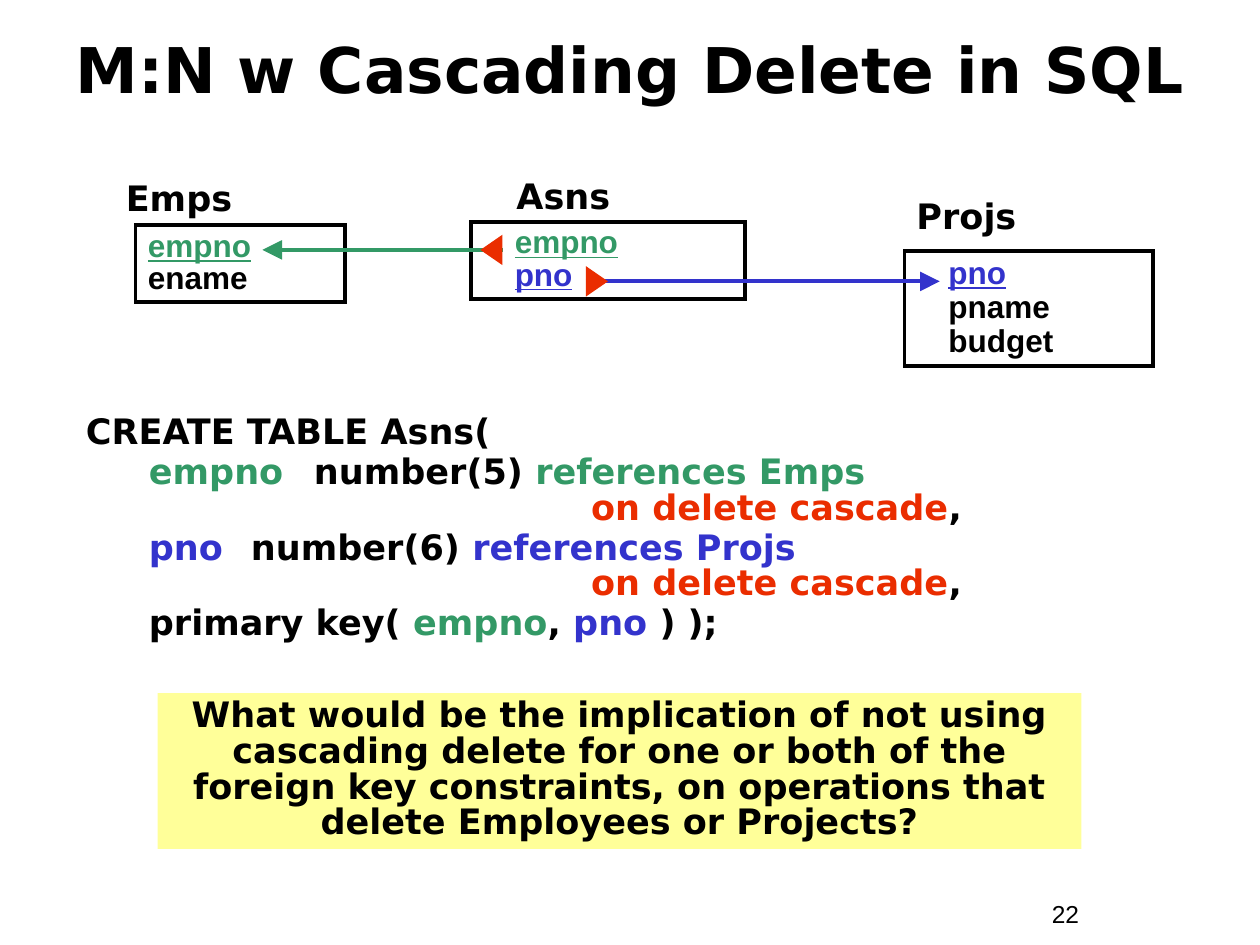
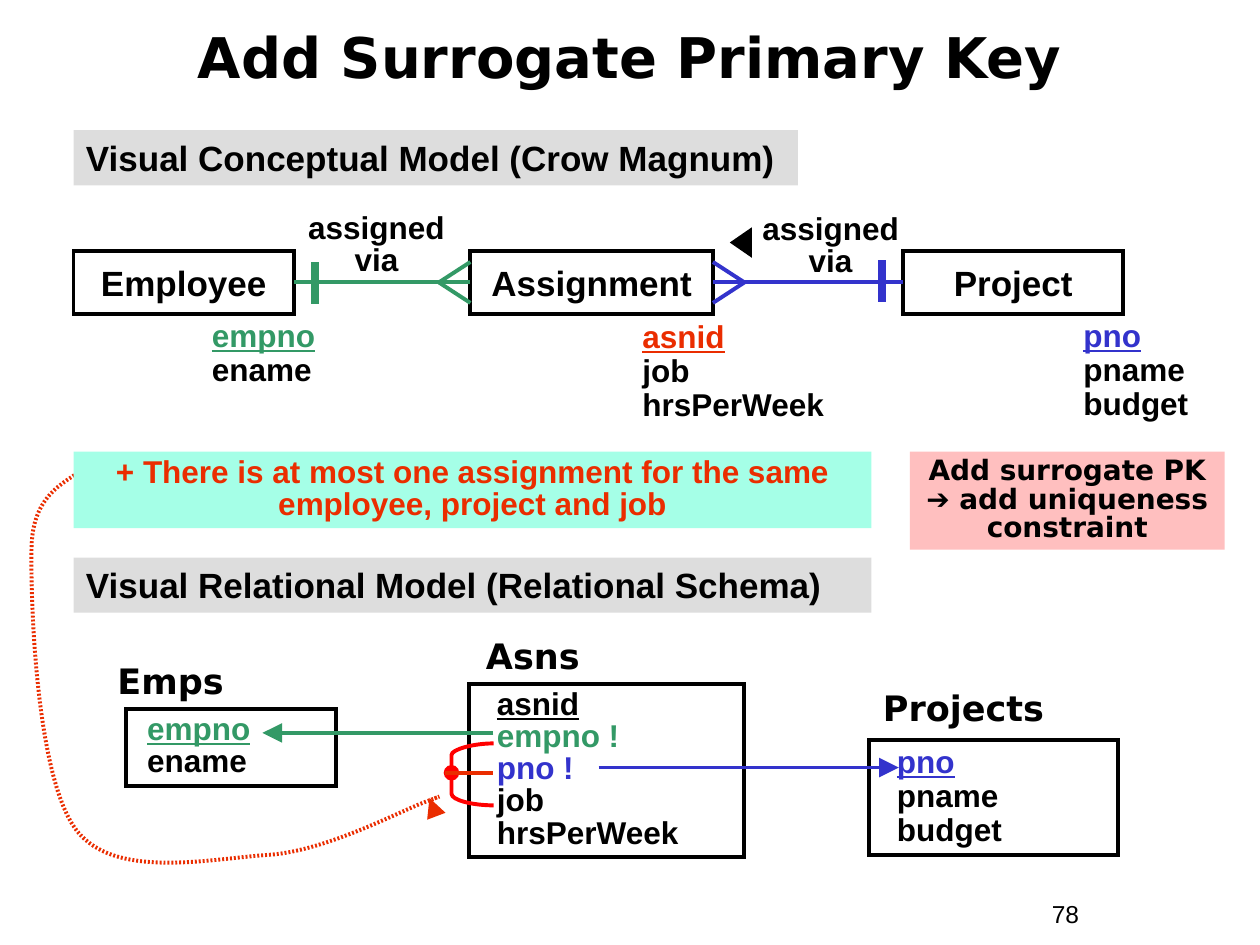
from lxml import etree
from pptx import Presentation
from pptx import util as u
from pptx.dml.color import RGBColor
from pptx.enum import shapes, text
from pptx.oxml.ns import qn

WIDE, HIGH = u.Inches(10), u.Inches(7.5)
CELL = WIDE // 120  # square grid of 120 columns and 90 rows
ARIAL, DEJAVU = "Arial", "DejaVu Sans"
BLACK, GREEN, BLUE, RED = "000000", "339966", "3333CC", "EA2D00"
SCARLET, GRAY, YELLOW, MINT, PINK = "FF0000", "DDDDDD", "FFFF99", "A5FFE7", "FFBFBF"
EMP = [("empno", GREEN), ("ename", BLACK)]
PROJ = [("pno", BLUE), ("pname", BLACK), ("budget", BLACK)]
RECT = shapes.MSO_SHAPE.RECTANGLE
LEFT, MID = text.PP_ALIGN.LEFT, text.PP_ALIGN.CENTER


def cells(*nums):
    return [int(n * CELL) for n in nums]


def rgb(hue):
    return RGBColor.from_string(hue)


def write(shape, paras, size, face=ARIAL, pace=1, align=LEFT, bold=True):
    """Fill a shape with paragraphs, each a list of (words, hue) runs."""
    frame = shape.text_frame
    frame.word_wrap = True
    frame.vertical_anchor = text.MSO_ANCHOR.TOP
    for i, runs in enumerate(paras):
        para = frame.add_paragraph() if i else frame.paragraphs[0]
        para.alignment, para.line_spacing = align, pace
        for words, hue in runs:
            run = para.add_run()
            run.text = words
            font = run.font
            font.name, font.size, font.bold = face, u.Pt(size), bold
            font.color.rgb = rgb(hue)
    return frame


def indent(para, left, first=0, tab=None):
    """Set the margin and first-line offset in inches, and one tab stop."""
    props = para._p.get_or_add_pPr()
    props.set("marL", str(u.Inches(left)))
    props.set("indent", str(u.Inches(first)))
    if tab:
        stops = etree.SubElement(props, qn("a:tabLst"))
        etree.SubElement(stops, qn("a:tab"), pos=str(u.Inches(tab)), algn="l")


def label(slide, at, words, size=20, face=DEJAVU, **style):
    box = slide.shapes.add_textbox(*cells(*at))
    return write(box, [[(words, BLACK)]], size, face, **style)


def block(slide, at, fill=None, edge=None, kind=RECT, turn=0):
    shape = slide.shapes.add_shape(kind, *cells(*at))
    shape.shadow.inherit = False
    shape.rotation = turn
    paint(shape, fill, edge)
    return shape


def paint(shape, fill, edge):
    if fill:
        shape.fill.solid()
        shape.fill.fore_color.rgb = rgb(fill)
    else:
        shape.fill.background()
    if edge:
        shape.line.color.rgb = rgb(edge)
        shape.line.width = u.Pt(2.25)
        etree.SubElement(shape.line._get_or_add_ln(), qn("a:miter"), lim="800000")
    else:
        shape.line.fill.background()


def panel(slide, at, fill, lines, size, hue=BLACK, **style):
    write(block(slide, at, fill), [[(line, hue)] for line in lines], size, **style)


def fields(slide, at, rows, pace=0.85, left=0, edge=BLACK, keys=1):
    """List the columns of a table, with its first keys underlined."""
    frame = write(block(slide, at, edge=edge), [[row] for row in rows], 18, pace=pace)
    for i, para in enumerate(frame.paragraphs):
        indent(para, left)
        para.runs[0].font.underline = i < keys


def entity(slide, at, name):
    box = block(slide, at, edge=BLACK)
    write(box, [[(name, BLACK)]], 20, align=MID)
    box.text_frame.vertical_anchor = text.MSO_ANCHOR.MIDDLE
    return box


def tip(line):
    etree.SubElement(line._get_or_add_ln(), qn("a:tailEnd"),
                     type="triangle", w="lg", len="lg")


def dot(line):
    """Give a line fine dots, half as long as it is wide."""
    dash = etree.Element(qn("a:custDash"))
    etree.SubElement(dash, qn("a:ds"), d="50000", sp="50000")
    line._get_or_add_ln().find(qn("a:solidFill")).addnext(dash)


def rule(slide, start, end, hue, wide=2.25, head=False):
    kind = shapes.MSO_CONNECTOR.STRAIGHT
    line = slide.shapes.add_connector(kind, *cells(*start, *end))
    line.line.color.rgb = rgb(hue)
    line.line.width = u.Pt(wide)
    if head:
        tip(line.line)
    etree.SubElement(line._element.spPr, qn("a:effectLst"))
    return line


def wedge(slide, x, y, hue, turn):
    """Draw a small triangle around a centre point."""
    kind = shapes.MSO_SHAPE.ISOSCELES_TRIANGLE
    block(slide, (x - 1.45, y - 1.05, 2.9, 2.1), hue, kind=kind, turn=turn)


def curve(slide, start, parts, hue):
    """Draw an open outline; a part is a cubic's three points or a line's one."""
    pen = slide.shapes.build_freeform(*cells(*start))
    pen.add_line_segments([cells(*spot) for part in parts for spot in part], close=False)
    shape = pen.convert_to_shape()
    steps = iter(list(shape._element.iter(qn("a:lnTo"))))
    for part in parts:
        first, *rest = [next(steps) for _ in part]
        if rest:
            first.tag = qn("a:cubicBezTo")
        for step in rest:
            first.append(step[0])
            step.getparent().remove(step)
    shape.shadow.inherit = False
    paint(shape, None, hue)
    return shape


def page(deck, title, num, at, size, pace=1):
    slide = deck.slides.add_slide(deck.slide_layouts[6])
    head = label(slide, at, title, size, align=MID, pace=pace)
    head.vertical_anchor = text.MSO_ANCHOR.MIDDLE
    label(slide, (99, 85, 11, 4), num, 14, ARIAL, bold=False)
    return slide


def code(slide):
    def column(name, kind, table, hue):
        return [[(name + "\t", hue), (kind + " ", BLACK), ("references " + table, hue)],
                [("on delete cascade", RED), (",", BLACK)]]

    paras = [[("CREATE TABLE Asns(", BLACK)],
             *column("empno", "number(5)", "Emps", GREEN),
             *column("pno", "number(6)", "Projs", BLUE),
             [("primary key( ", BLACK), ("empno", GREEN), (", ", BLACK),
              ("pno", BLUE), (" ) );", BLACK)]]
    box = slide.shapes.add_textbox(*cells(7, 39, 104, 22.9))
    frame = write(box, paras, 20, DEJAVU, 0.85)
    for i, para in enumerate(frame.paragraphs):
        action = i in (2, 4)
        if action:
            indent(para, 4.01)
        elif i:
            indent(para, 0.81, -0.31, tab=1.81)
        para.space_before = u.Pt(0 if action or not i else 2.5)


def cascade(deck):
    slide = page(deck, "M:N w Cascading Delete in SQL", "22", (4, 1, 112, 11), 36)
    for x, y, name in ((10.8, 16.2, "Emps"), (48, 16, "Asns"), (86.1, 17.9, "Projs")):
        label(slide, (x, y, 25.8, 5.3), name)
    fields(slide, (12.9, 21.45, 20, 7.3), EMP)
    fields(slide, (44.85, 21.15, 26.15, 7.35), [("empno", GREEN), ("pno", BLUE)],
           left=0.25, keys=2)
    fields(slide, (86.15, 23.9, 23.65, 10.95), PROJ, 0.9, 0.25)
    rule(slide, (47.9, 23.8), (25, 23.8), GREEN, head=True)
    rule(slide, (55.8, 26.8), (89.5, 26.8), BLUE, head=True)
    wedge(slide, 46.8, 23.8, RED, 270)
    wedge(slide, 56.85, 26.8, RED, 90)
    code(slide)
    panel(slide, (15, 66, 88, 14.85), YELLOW,
          ["What would be the implication of not using cascading delete for one or both "
           "of the foreign key constraints, on operations that delete Employees or "
           "Projects?"], 20, face=DEJAVU, pace=0.85, align=MID)


def concept(slide):
    """Draw the entities, their crow's-foot links and their attributes."""
    top, mid = 23.9, 26.9
    emp = entity(slide, (7, top, 21, 6), "Employee")
    asn = entity(slide, (44.8, top, 23.1, 6), "Assignment")
    proj = entity(slide, (86, top, 21, 6), "Project")
    for one, side, back, hue, apex, foot, bar, low in (
            (emp, 3, 1, GREEN, 41.8, 44.8, 30, 27), (proj, 1, 3, BLUE, 70.9, 67.9, 84, 26.8)):
        link = rule(slide, (bar, mid), (foot, mid), hue)
        link.begin_connect(one, side)
        link.end_connect(asn, back)
        for y in (mid - 1.95, mid + 1.95):
            rule(slide, (apex, mid), (foot, y), hue)
        rule(slide, (bar, low - 2), (bar, low + 2), hue, 4.5)
    for x, y in ((27.85, 19.8), (71.1, 19.9)):
        label(slide, (x, y, 16, 7.3), "assigned via", 18, ARIAL, pace=0.85, align=MID)
    wedge(slide, 70.55, 23.1, BLACK, 270)
    job = [("asnid", RED), ("job", BLACK), ("hrsPerWeek", BLACK)]
    for x, y, wide, high, rows in ((19, 29.9, 18, 7.7, EMP), (60, 30, 21, 10.9, job),
                                   (102, 29.9, 14, 10.9, PROJ)):
        fields(slide, (x, y, wide, high), rows, 0.9, edge=None)


def schema(slide):
    """Draw the tables, their references and the uniqueness bracket."""
    for x, y, name in ((10, 62.2, "Emps"), (45.1, 59.8, "Asns"), (82.9, 64.8, "Projects")):
        label(slide, (x, y, 25.8, 5.3), name)
    fields(slide, (12, 67.5, 20, 7.35), EMP, left=0.07)
    fields(slide, (44.7, 65.1, 26.2, 16.55),
           [("asnid", BLACK), ("empno !", GREEN), ("pno !", BLUE),
            ("job", BLACK), ("hrsPerWeek", BLACK)], left=0.12)
    fields(slide, (82.8, 70.5, 23.7, 10.95), PROJ, 0.9, 0.12)
    rule(slide, (47, 69.8), (25, 69.8), GREEN, head=True)
    rule(slide, (57, 73.1), (85.6, 73.1), BLUE, head=True)
    curve(slide, (47, 70.8), [[(45, 70.8), (43, 71.4), (43, 71.9)], [(43, 75.6)],
                              [(43, 76.2), (45, 76.7), (47, 76.7)]], SCARLET)
    block(slide, (42.45, 73.05, 1.1, 1.1), SCARLET, SCARLET, shapes.MSO_SHAPE.OVAL)
    rule(slide, (42.4, 73.6), (47, 73.6), RED)


def surrogate(deck):
    slide = page(deck, "Add Surrogate Primary Key", "78", (4, 1.3, 112, 9), 32, 0.85)
    panel(slide, (7, 12.4, 69, 5.25), GRAY, ["Visual Conceptual Model (Crow Magnum)"], 20)
    panel(slide, (7, 53.1, 76, 5.25), GRAY,
          ["Visual Relational Model (Relational Schema)"], 20)
    concept(slide)
    schema(slide)
    trail = curve(slide, (7.9, 44.5), [
        [(7.1, 45.8), (3.1, 46.4), (3, 52.2)], [(2.9, 57.8), (3.5, 74.2), (7.3, 79.1)],
        [(11, 83.9), (20.4, 81.7), (25.9, 81.4)], [(31.4, 80.9), (38.2, 77.2), (40.7, 76.3)],
        [(43.1, 75.4), (40.8, 76.1), (40.9, 76)]], RED)
    dot(trail.line)
    tip(trail.line)
    panel(slide, (7, 43, 76, 7.3), MINT,
          ["+ There is at most one assignment for the same employee, project and job"],
          18, RED, pace=0.85, align=MID)
    panel(slide, (86.65, 43, 30, 9.35), PINK,
          ["Add surrogate PK", "➔ add uniqueness constraint"], 16,
          face=DEJAVU, pace=0.85, align=MID)


def main():
    deck = Presentation()
    deck.slide_width, deck.slide_height = WIDE, HIGH
    cascade(deck)
    surrogate(deck)
    deck.save("out.pptx")


if __name__ == "__main__":
    main()
